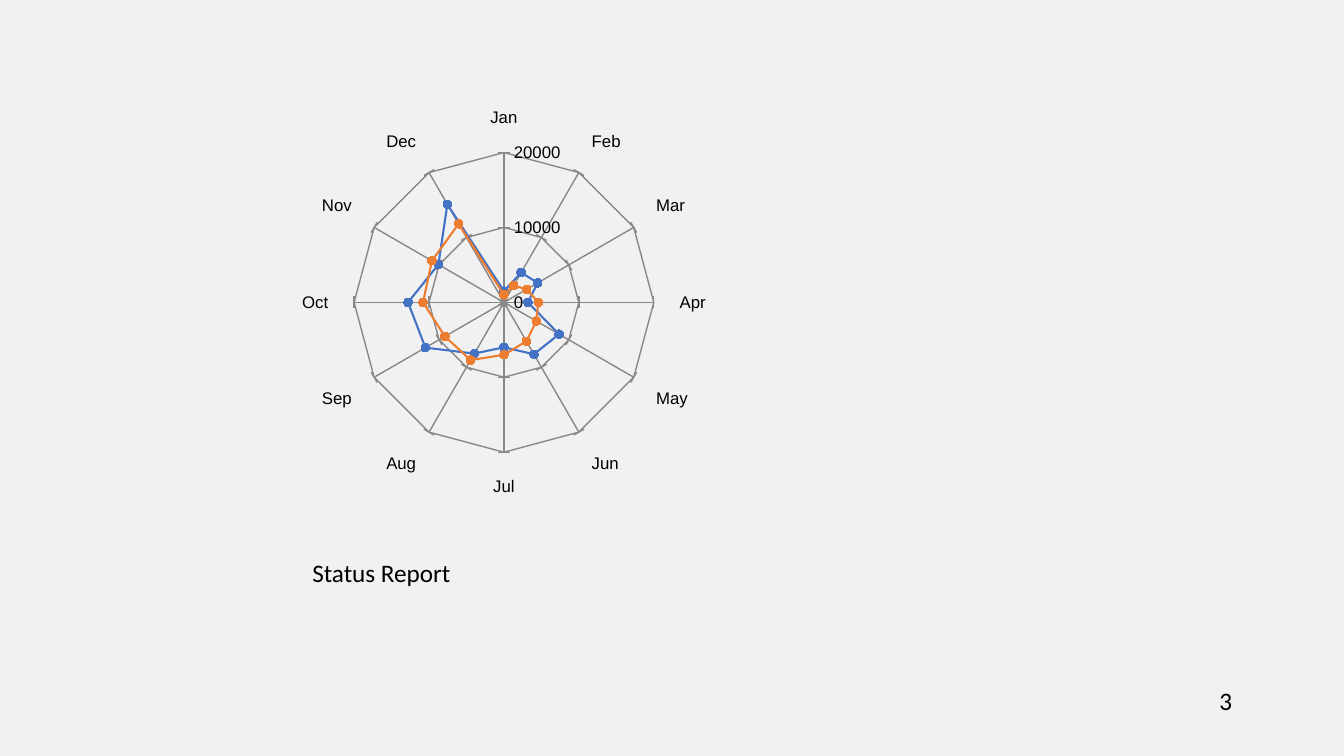
import pptx
import pptx.chart.data
import pptx.dml.color
import pptx.enum.chart
import pptx.enum.text
import pptx.util

Pt = pptx.util.Pt
COLORS = {"background": "F1F1F1", "text": "000000", "axis": "888888",
          "Series 1": "4472C4", "Series 2": "ED7D31"}
MONTHS = ["Jan", "Feb", "Mar", "Apr", "May", "Jun",
          "Jul", "Aug", "Sep", "Oct", "Nov", "Dec"]
SERIES = {
    "Series 1": [1500, 4600, 5200, 3200, 8500, 8000,
                 6000, 7900, 12100, 12800, 10100, 15100],
    "Series 2": [1000, 2600, 3500, 4600, 5000, 6000,
                 7000, 8900, 9100, 10800, 11100, 12100],
}


def rgb(name):
    return pptx.dml.color.RGBColor.from_string(COLORS[name])


def style_font(font, size, name):
    font.size = Pt(size)
    font.name = name
    font.color.rgb = rgb("text")


prs = pptx.Presentation()
prs.slide_width, prs.slide_height = Pt(960), Pt(540)
s = prs.slides.add_slide(prs.slide_layouts[6])
s.background.fill.solid()
s.background.fill.fore_color.rgb = rgb("background")

# Radar chart
data = pptx.chart.data.CategoryChartData(number_format="General")
data.categories = MONTHS
for name, values in SERIES.items():
    data.add_series(name, values)
chart = s.shapes.add_chart(pptx.enum.chart.XL_CHART_TYPE.RADAR_MARKERS,
                           Pt(72), Pt(72), Pt(576), Pt(288), data).chart
chart.has_title = False
chart.has_legend = False
style_font(chart.font, 10, "Calibri")
chart.plots[0].vary_by_categories = False

for axis in (chart.category_axis, chart.value_axis):
    axis.major_tick_mark = pptx.enum.chart.XL_TICK_MARK.OUTSIDE
    axis.minor_tick_mark = pptx.enum.chart.XL_TICK_MARK.NONE
    axis.tick_labels.number_format = "General"
    axis.tick_labels.number_format_is_linked = False
    style_font(axis.tick_labels.font, 12, "Arial")
    axis.format.line.color.rgb = rgb("axis")
    axis.format.line.width = Pt(1)
chart.category_axis.has_major_gridlines = False
chart.category_axis.tick_label_position = pptx.enum.chart.XL_TICK_LABEL_POSITION.LOW
chart.value_axis.minimum_scale = 0
chart.value_axis.maximum_scale = 20000
chart.value_axis.major_unit = 10000
grid = chart.value_axis.major_gridlines.format.line
grid.color.rgb = rgb("axis")
grid.width = Pt(1)

for series in chart.plots[0].series:
    color = rgb(series.name)
    series.format.line.color.rgb = color
    series.format.line.width = Pt(1.5)
    series.marker.style = pptx.enum.chart.XL_MARKER_STYLE.CIRCLE
    series.marker.size = 6
    series.marker.format.fill.solid()
    series.marker.format.fill.fore_color.rgb = color
    series.marker.format.line.color.rgb = color

# Caption and page number
anchors = pptx.enum.text.MSO_ANCHOR
for text, left, top, width, height, anchor in [
    ("Status Report", 216, 381.6, 396, 54, anchors.MIDDLE),
    ("3", 864, 486, 62.64, 23.76, anchors.TOP),
]:
    sp = s.shapes.add_textbox(Pt(left), Pt(top), Pt(width), Pt(height))
    tf = sp.text_frame
    tf.word_wrap = True
    tf.vertical_anchor = anchor
    tf.text = text
    style_font(tf.paragraphs[0].runs[0].font, 18, "Calibri")

prs.save("out.pptx")
